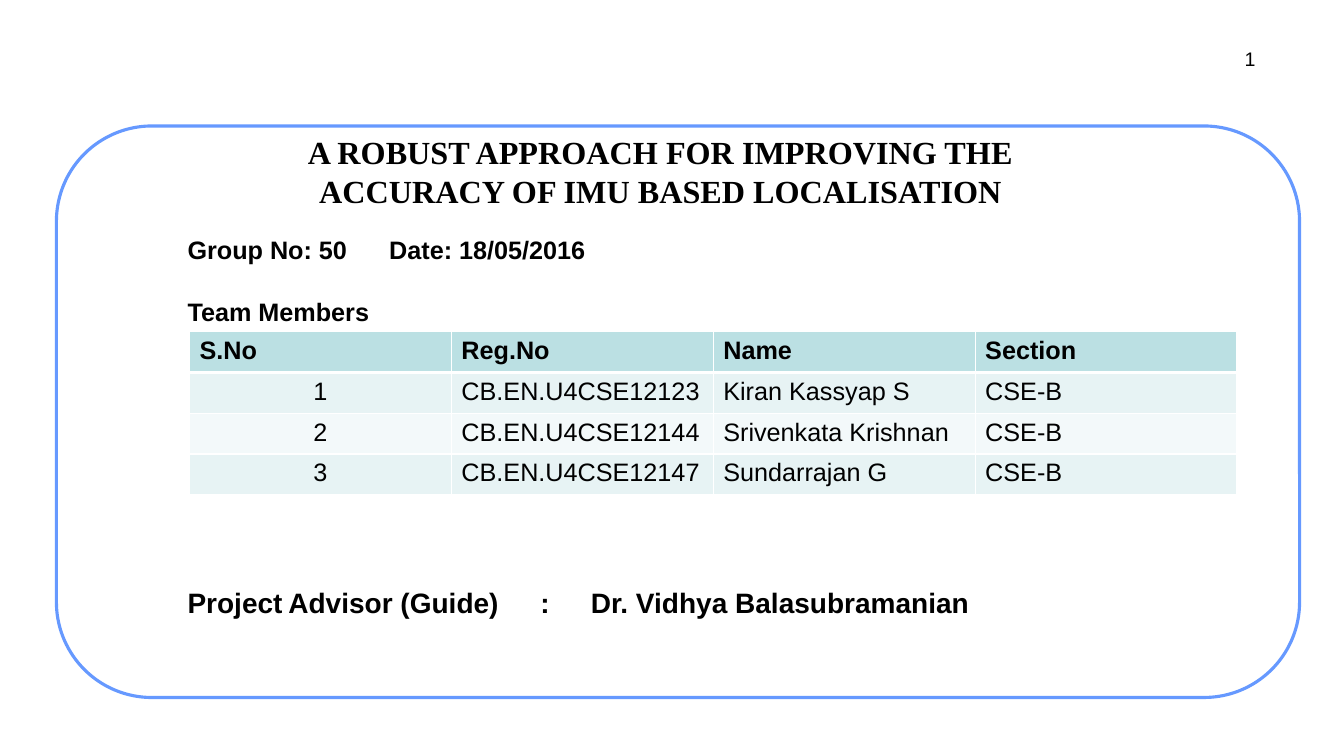
"""Build the project title slide with the team table."""
from lxml import etree
from pptx import Presentation
from pptx.dml.color import RGBColor
from pptx.enum import shapes, text
from pptx.oxml import ns
from pptx.util import Inches, Pt

BLACK = RGBColor(0x00, 0x00, 0x00)
WHITE = RGBColor(0xFF, 0xFF, 0xFF)
FRAME_BLUE = RGBColor(0x66, 0x99, 0xFF)
HEADER_TEAL = RGBColor(0xBB, 0xE0, 0xE3)
ROW_FILLS = [RGBColor(0xE7, 0xF3, 0xF4), RGBColor(0xF3, 0xF9, 0xFA)]

TITLE = "A ROBUST APPROACH FOR IMPROVING THE ACCURACY OF IMU BASED LOCALISATION"
DETAILS = [
    {"text": "Group No: 50\tDate: 18/05/2016", "size": 18, "before": 0, "tabs": [6.76]},
    {"text": "Team Members", "size": 18, "before": 27, "tabs": []},
    {"text": "Project\tAdvisor (Guide)\t:\tDr. Vidhya Balasubramanian", "size": 20,
     "before": 190, "tabs": [1.09, 3.34, 3.58]},
]
TEAM = [
    ("S.No", "Reg.No", "Name", "Section"),
    ("1", "CB.EN.U4CSE12123", "Kiran Kassyap S", "CSE-B"),
    ("2", "CB.EN.U4CSE12144", "Srivenkata Krishnan", "CSE-B"),
    ("3", "CB.EN.U4CSE12147", "Sundarrajan G", "CSE-B"),
]
TABLE_WIDTH, ROW_HEIGHT = 10.39, 0.405


def place(shape, left, top, width, height):
    shape.left, shape.top = Inches(left), Inches(top)
    shape.width, shape.height = Inches(width), Inches(height)


def write(para, words, size, bold=False, face="Arial", align=text.PP_ALIGN.LEFT):
    para.alignment = align
    span = para.add_run()
    span.text = words
    span.font.name, span.font.size, span.font.bold = face, Pt(size), bold
    span.font.color.rgb = BLACK


def add_tabs(para, stops):
    tab_list = etree.SubElement(para._p.get_or_add_pPr(), ns.qn("a:tabLst"))
    for stop in stops:
        etree.SubElement(tab_list, ns.qn("a:tab"), pos=str(Inches(stop)), algn="l")


def add_borders(cell, bottom):
    properties = cell._tc.get_or_add_tcPr()
    widths = {"a:lnL": 1, "a:lnR": 1, "a:lnT": 1, "a:lnB": bottom}
    for index, (side, width) in enumerate(widths.items()):
        line = etree.Element(ns.qn(side), w=str(Pt(width)))
        fill = etree.SubElement(line, ns.qn("a:solidFill"))
        etree.SubElement(fill, ns.qn("a:srgbClr"), val=str(WHITE))
        properties.insert(index, line)


def add_frame(page):
    frame = page.shapes.add_shape(
        shapes.MSO_SHAPE.ROUNDED_RECTANGLE,
        Inches(0.56), Inches(1.25), Inches(12.33), Inches(5.67))
    frame.adjustments[0] = 0.167
    frame.shadow.inherit = False
    frame.fill.solid()
    frame.fill.fore_color.rgb = WHITE
    frame.line.color.rgb = FRAME_BLUE
    frame.line.width = Pt(2.25)
    page.shapes.element.insert(2, frame.element)


def add_title(page):
    title = page.shapes.title
    place(title, 2.25, 1.2, 8.61, 1)
    body = title.text_frame
    body.auto_size = text.MSO_AUTO_SIZE.NONE
    body.vertical_anchor = text.MSO_ANCHOR.MIDDLE
    write(body.paragraphs[0], TITLE, 23, True, "Times New Roman", text.PP_ALIGN.CENTER)


def add_details(page):
    details = page.placeholders[1]
    place(details, 1.76, 2.02, 10.79, 4.33)
    details.fill.solid()
    details.fill.fore_color.rgb = WHITE
    body = details.text_frame
    body.auto_size = text.MSO_AUTO_SIZE.NONE
    body.vertical_anchor = text.MSO_ANCHOR.TOP
    body.margin_top = Inches(0.36)
    for index, line in enumerate(DETAILS):
        para = body.add_paragraph() if index else body.paragraphs[0]
        if line["tabs"]:
            add_tabs(para, line["tabs"])
        para.line_spacing = 0.8
        para.space_before = Pt(line["before"])
        write(para, line["text"], line["size"], True)


def add_page_number(page):
    box = page.shapes.add_textbox(Inches(10.22), Inches(0.42), Inches(2.33), Inches(0.52))
    box.text_frame.word_wrap = True
    write(box.text_frame.paragraphs[0], "1", 14, align=text.PP_ALIGN.RIGHT)


def add_team(page):
    table = page.shapes.add_table(
        len(TEAM), len(TEAM[0]), Inches(1.88), Inches(3.29),
        Inches(TABLE_WIDTH), Inches(ROW_HEIGHT * len(TEAM))).table
    for row, member in enumerate(TEAM):
        header = row == 0
        for column, words in enumerate(member):
            cell = table.cell(row, column)
            cell.fill.solid()
            cell.fill.fore_color.rgb = HEADER_TEAL if header else ROW_FILLS[(row - 1) % 2]
            add_borders(cell, 3 if header else 1)
            centred = column == 0 and not header
            align = text.PP_ALIGN.CENTER if centred else text.PP_ALIGN.LEFT
            write(cell.text_frame.paragraphs[0], words, 18, header, align=align)


def main():
    deck = Presentation()
    deck.slide_width, deck.slide_height = Inches(13.33), Inches(7.5)
    page = deck.slides.add_slide(deck.slide_layouts[0])
    add_frame(page)
    add_title(page)
    add_details(page)
    add_page_number(page)
    add_team(page)
    deck.save("out.pptx")


if __name__ == "__main__":
    main()
